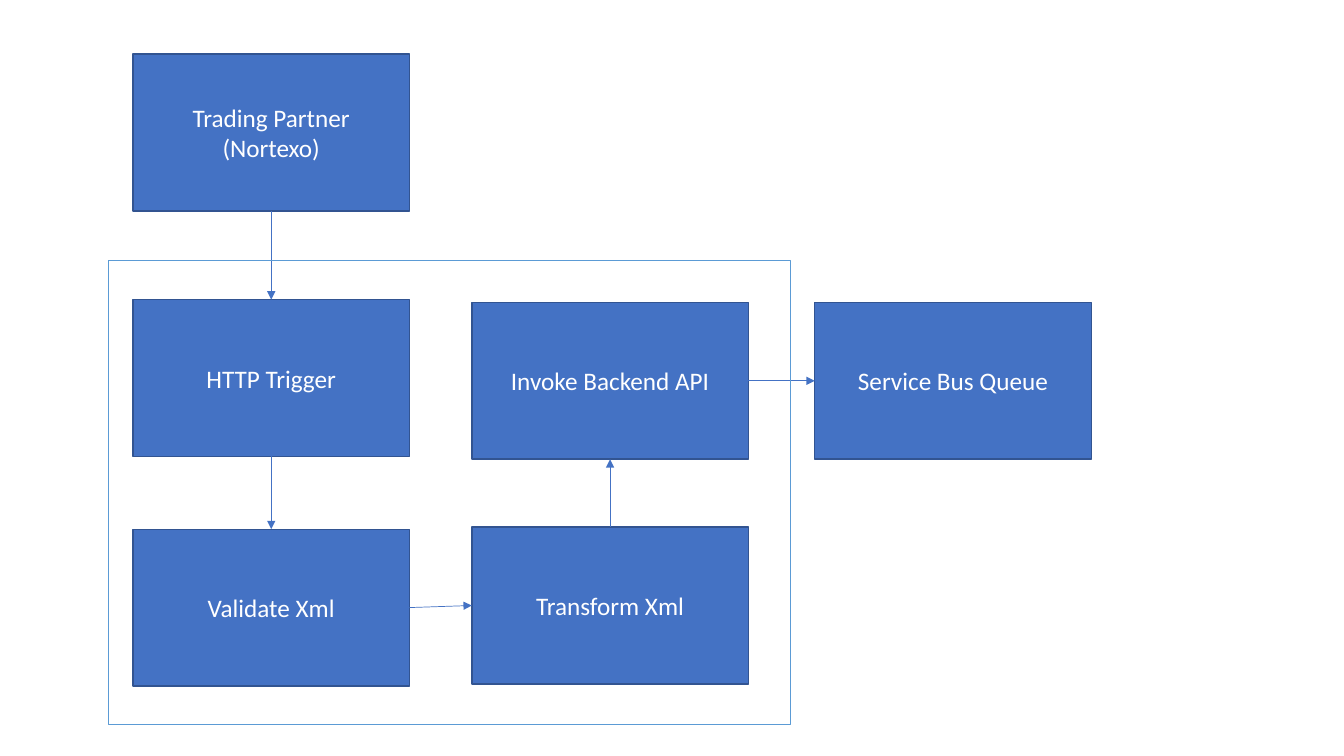
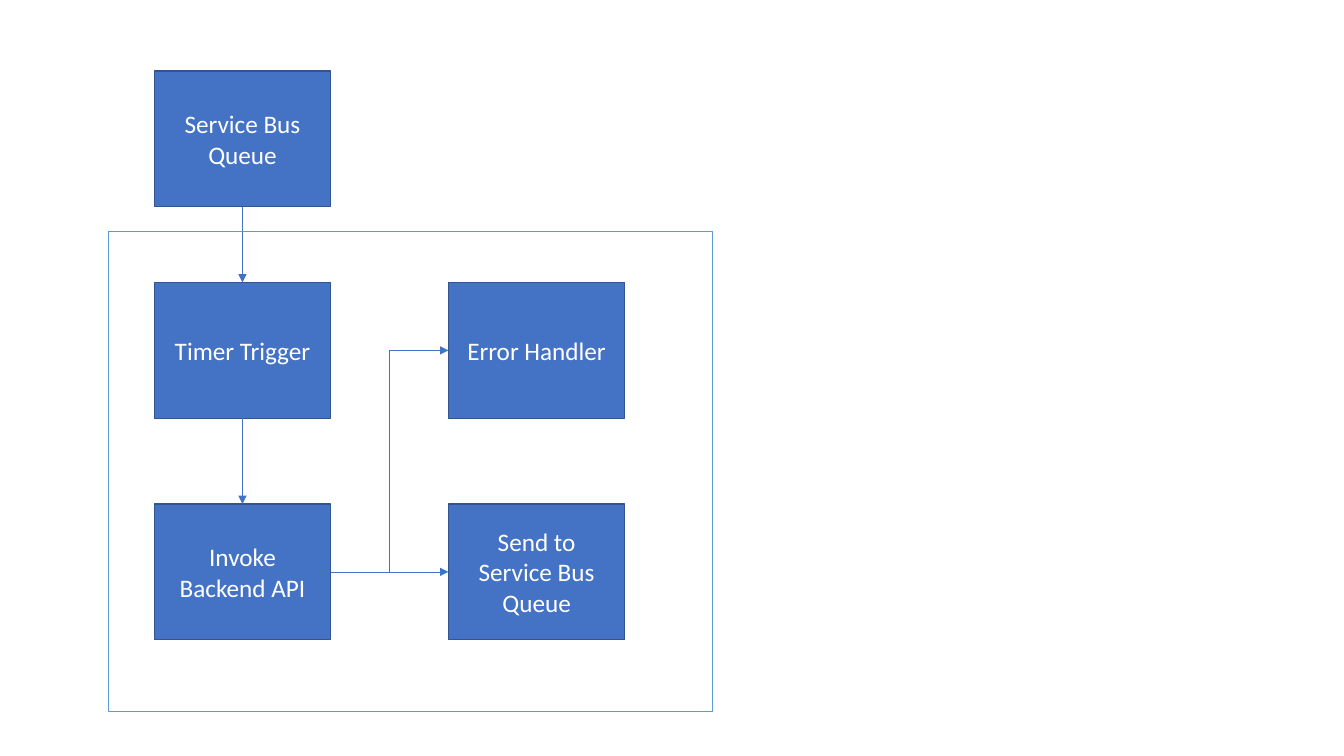
from pptx import Presentation
from pptx.dml.color import RGBColor
from pptx.enum import shapes, text
from pptx.oxml.ns import qn
from pptx.util import Pt
from lxml import etree

# Shared look
BLUE = RGBColor(0x44, 0x72, 0xC4)
EDGE = RGBColor(0x32, 0x54, 0x91)
FRAME = RGBColor(0x5B, 0x9B, 0xD5)
FONT = {"name": "Calibri", "size": Pt(18)}
WHITE = RGBColor(0xFF, 0xFF, 0xFF)
TOP, LEFT, BOTTOM, RIGHT = range(4)  # connection sites of a rectangle
DOWN, UP, ACROSS = (BOTTOM, TOP), (TOP, BOTTOM), (RIGHT, LEFT)
STRAIGHT, ELBOW = shapes.MSO_CONNECTOR.STRAIGHT, shapes.MSO_CONNECTOR.ELBOW

# Content, in points: box size, frame, boxes (key: text, left, top), arrows
FLOWS = [
    {
        "size": (197.5, 112),
        "frame": (77.3, 186.3, 487.5, 331.2),
        "boxes": {
            "partner": ("Trading Partner\n(Nortexo)", 95, 38.7),
            "trigger": ("HTTP Trigger", 95, 214),
            "validate": ("Validate Xml", 95, 378),
            "transform": ("Transform Xml", 337, 376.5),
            "invoke": ("Invoke Backend API", 337, 216),
            "queue": ("Service Bus Queue", 582, 216),
        },
        "arrows": [
            ("partner", "trigger", DOWN, STRAIGHT),
            ("trigger", "validate", DOWN, STRAIGHT),
            ("validate", "transform", ACROSS, STRAIGHT),
            ("transform", "invoke", UP, STRAIGHT),
            ("invoke", "queue", ACROSS, STRAIGHT),
        ],
    },
    {
        "size": (126, 97),
        "frame": (77.5, 165.5, 431.5, 342.7),
        "boxes": {
            "queue": ("Service Bus Queue", 110.2, 50.7),
            "trigger": ("Timer Trigger", 110.2, 201.8),
            "invoke": ("Invoke Backend API", 110.2, 360),
            "send": ("Send to Service Bus Queue", 320.3, 360),
            "error": ("Error Handler", 320.3, 201.8),
        },
        "arrows": [
            ("queue", "trigger", DOWN, STRAIGHT),
            ("trigger", "invoke", DOWN, STRAIGHT),
            ("invoke", "send", ACROSS, STRAIGHT),
            ("invoke", "error", ACROSS, ELBOW),
        ],
    },
]


def add_rect(slide, bounds, color, width):
    sp = slide.shapes.add_shape(shapes.MSO_SHAPE.RECTANGLE, *map(Pt, bounds))
    sp.shadow.inherit = False
    sp.line.color.rgb = color
    sp.line.width = Pt(width)
    return sp


def add_box(slide, label, bounds):
    sp = add_rect(slide, bounds, EDGE, 1)
    sp.fill.solid()
    sp.fill.fore_color.rgb = BLUE
    tf = sp.text_frame
    tf.word_wrap = True
    tf.vertical_anchor = text.MSO_ANCHOR.MIDDLE
    tf.text = label
    for p in tf.paragraphs:
        p.alignment = text.PP_ALIGN.CENTER
        for r in p.runs:
            for key, value in FONT.items():
                setattr(r.font, key, value)
            r.font.color.rgb = WHITE
    return sp


def add_arrow(slide, start, end, sites, kind):
    cn = slide.shapes.add_connector(kind, 0, 0, 0, 0)
    cn.begin_connect(start, sites[0])
    cn.end_connect(end, sites[1])
    cn.line.color.rgb = BLUE
    cn.line.width = Pt(0.5)
    ln = cn.line._get_or_add_ln()
    etree.SubElement(ln, qn("a:tailEnd"), type="triangle")
    etree.SubElement(cn._element.spPr, qn("a:effectLst"))


prs = Presentation()
prs.slide_width, prs.slide_height = Pt(960), Pt(540)
for flow in FLOWS:
    slide = prs.slides.add_slide(prs.slide_layouts[6])
    # Boxes
    boxes = {
        key: add_box(slide, label, (left, top, *flow["size"]))
        for key, (label, left, top) in flow["boxes"].items()
    }
    # Arrows between boxes
    for start, end, sites, kind in flow["arrows"]:
        add_arrow(slide, boxes[start], boxes[end], sites, kind)
    # Frame around the workflow
    add_rect(slide, flow["frame"], FRAME, 0.75).fill.background()

prs.save("out.pptx")
